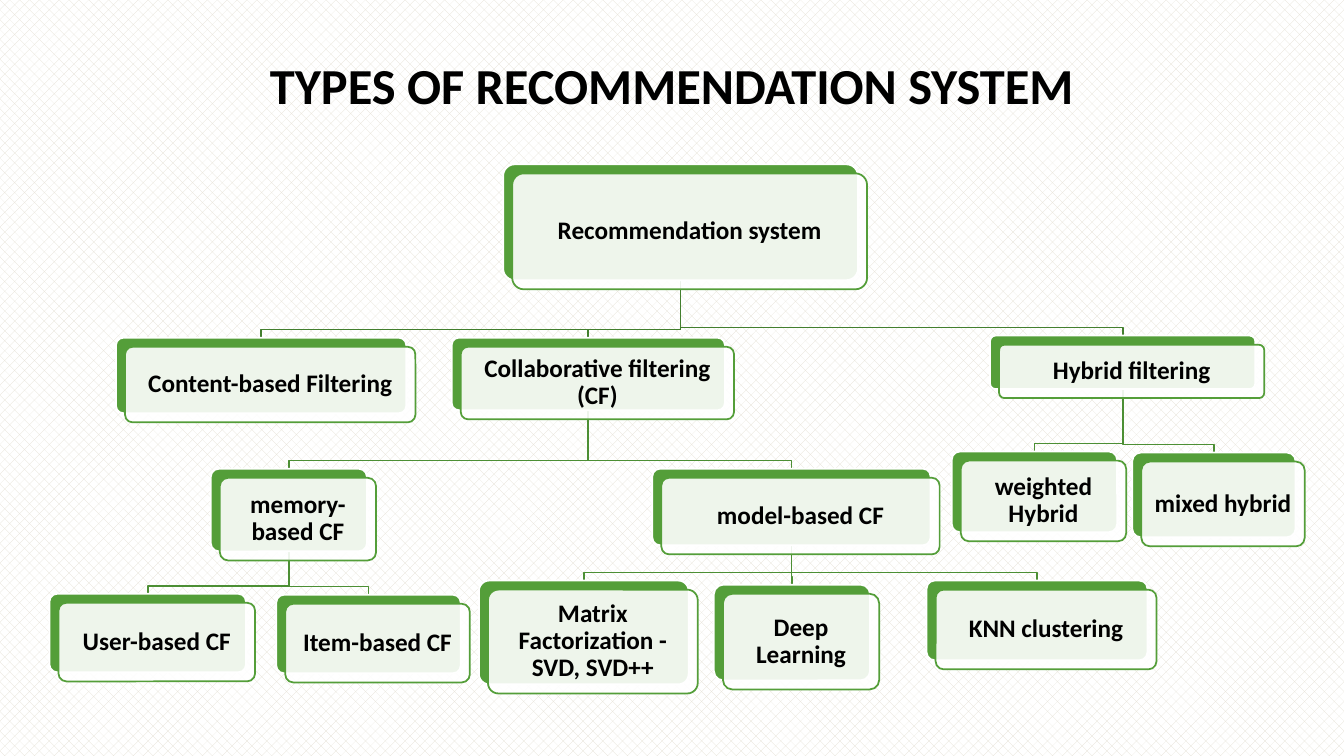
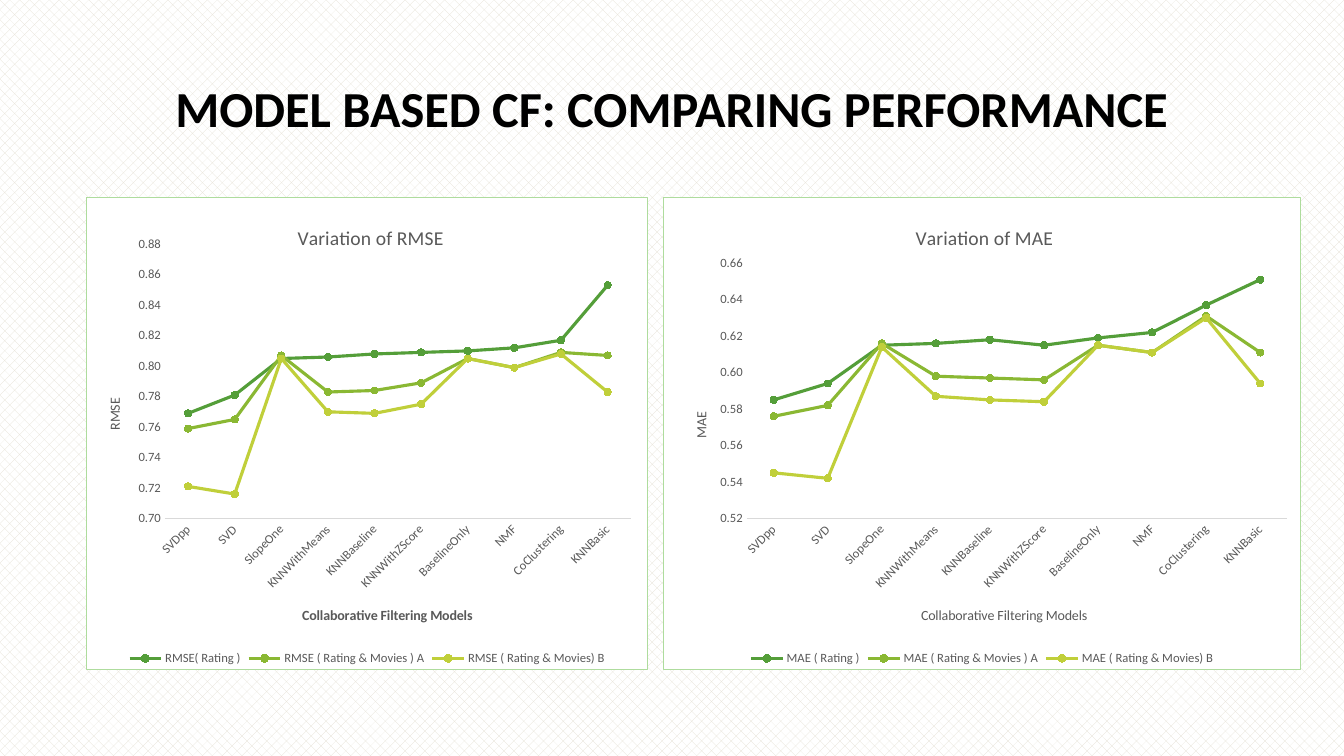
from lxml import etree
from pptx import Presentation
from pptx import util as u
from pptx.chart.data import CategoryChartData
from pptx.dml.color import RGBColor
from pptx.enum import chart as ch, dml, shapes, text
from pptx.oxml import parse_xml
from pptx.oxml.ns import nsdecls, qn

FONT = "Calibri"
BLACK, WHITE, GREY, PALE_GREY = "000000", "FFFFFF", "595959", "D9D9D9"
GREEN, LEAF, LIME, FRAME = "549E39", "8AB833", "C0CF3A", "AEDC9D"
TRUNK, BRANCH = "437F2E", "4C8F34"
CARD_SHIFT = 0.09
ELBOW_DROP = 0.08

TITLE_FONT = {"name": FONT, "size": u.Pt(36), "bold": True}
CARD_FONT = {"name": FONT, "size": u.Pt(18), "bold": True}
PARAGRAPH = {"alignment": text.PP_ALIGN.CENTER, "line_spacing": 0.9}
FRAME_FORMAT = {"word_wrap": True, "vertical_anchor": text.MSO_ANCHOR.MIDDLE}
CARD_FRAME = {**FRAME_FORMAT, **{f"margin_{side}": u.Inches(0.07)
                                for side in ("left", "top", "right", "bottom")}}

NODES = {
    "root": ("Recommendation system", None, 4.99, 1.63, 3.52, 1.15),
    "content": ("Content-based Filtering", "root", 1.15, 3.35, 2.88, 0.75),
    "cf": ("Collaborative filtering (CF)", "root", 4.48, 3.35, 2.71, 0.72),
    "memory": ("memory-based CF", "cf", 2.09, 4.65, 1.55, 0.82),
    "user": ("User-based CF", "memory", 0.49, 5.89, 1.95, 0.78),
    "item": ("Item-based CF", "memory", 2.74, 5.9, 1.83, 0.78),
    "model": ("model-based CF", "cf", 6.47, 4.65, 2.76, 0.76),
    "matrix": ("Matrix Factorization - SVD, SVD++", "model", 4.75, 5.76, 2.08, 1.03),
    "deep": ("Deep Learning", "model", 7.08, 5.8, 1.55, 0.95),
    "knn": ("KNN clustering", "model", 9.19, 5.76, 2.19, 0.79),
    "hybrid": ("Hybrid filtering", "root", 9.82, 3.33, 2.63, 0.53),
    "weighted": ("weighted Hybrid", "hybrid", 9.44, 4.48, 1.64, 0.8),
    "mixed": ("mixed hybrid", "hybrid", 11.23, 4.49, 1.62, 0.84),
}

MODELS = ["SVDpp", "SVD", "SlopeOne", "KNNWithMeans", "KNNBaseline", "KNNWithZScore",
          "BaselineOnly", "NMF", "CoClustering", "KNNBasic"]
RMSE = {
    "measure": "RMSE", "at": (0.85, 1.95, 5.58, 4.7), "scale": (0.7, 0.88),
    "bold_models": True, "plot": (0.14, 0.1, 0.83, 0.58),
    "heading_at": (0.37, 0.05), "models_at": (0.38, 0.86), "measure_at": (0.03, 0.42),
    "series": {
        "RMSE( Rating )":
            (0.769, 0.781, 0.805, 0.806, 0.808, 0.809, 0.81, 0.812, 0.817, 0.853),
        "RMSE ( Rating & Movies ) A":
            (0.759, 0.765, 0.807, 0.783, 0.784, 0.789, 0.805, 0.799, 0.809, 0.807),
        "RMSE ( Rating & Movies) B":
            (0.721, 0.716, 0.805, 0.77, 0.769, 0.775, 0.805, 0.799, 0.808, 0.783),
    },
}
MAE = {
    "measure": "MAE", "at": (6.58, 1.95, 6.32, 4.7), "scale": (0.52, 0.66),
    "bold_models": False, "plot": (0.13, 0.14, 0.85, 0.54),
    "heading_at": (0.39, 0.05), "models_at": (0.4, 0.86), "measure_at": (0.04, 0.45),
    "series": {
        "MAE ( Rating )":
            (0.585, 0.594, 0.615, 0.616, 0.618, 0.615, 0.619, 0.622, 0.637, 0.651),
        "MAE ( Rating & Movies ) A":
            (0.576, 0.582, 0.616, 0.598, 0.597, 0.596, 0.615, 0.611, 0.631, 0.611),
        "MAE ( Rating & Movies) B":
            (0.545, 0.542, 0.614, 0.587, 0.585, 0.584, 0.615, 0.611, 0.63, 0.594),
    },
}


def rgb(code):
    return RGBColor.from_string(code)


def apply(target, values):
    for name, value in values.items():
        setattr(target, name, value)


def inches(*lengths):
    return [u.Inches(length) for length in lengths]


def paint_line(line, color, width):
    line.color.rgb = rgb(color)
    line.width = u.Pt(width)


def paint_background(prs):
    fill = prs.slide_master.background.fill
    fill.patterned()
    fill.pattern = dml.MSO_PATTERN.PERCENT_30
    fill.fore_color.rgb = rgb("E3DED1")
    fill.back_color.rgb = rgb(WHITE)


def write(frame, words, frame_format, font_format):
    apply(frame, frame_format)
    paragraph = frame.paragraphs[0]
    apply(paragraph, PARAGRAPH)
    run = paragraph.add_run()
    run.text = words
    apply(run.font, font_format)
    run.font.color.rgb = rgb(BLACK)


def add_titled_slide(prs, words, top, height):
    slide = prs.slides.add_slide(prs.slide_layouts[6])
    title = slide.shapes.add_textbox(*inches(1.25, top, 10.83, height))
    write(title.text_frame, words, FRAME_FORMAT, TITLE_FONT)
    return slide


def add_branch(slide, parent, child, color):
    _, _, left, top, width, height = parent
    start_x, start_y = left + width / 2, top + height
    _, _, left, end_y, width, _ = child
    end_x, bend_y = left + width / 2, end_y - ELBOW_DROP
    builder = slide.shapes.build_freeform(*inches(start_x, start_y))
    corners = [(start_x, bend_y), (end_x, bend_y), (end_x, end_y)]
    builder.add_line_segments([inches(*corner) for corner in corners], close=False)
    branch = builder.convert_to_shape()
    branch.shadow.inherit = False
    branch.fill.background()
    paint_line(branch.line, color, 1.25)


def add_panel(slide, at, fill, edge):
    panel = slide.shapes.add_shape(shapes.MSO_SHAPE.ROUNDED_RECTANGLE, *inches(*at))
    panel.adjustments[0] = 0.1
    panel.shadow.inherit = False
    panel.fill.solid()
    panel.fill.fore_color.rgb = rgb(fill)
    paint_line(panel.line, edge, 1.25)
    return panel


def add_card(slide, words, left, top, width, height):
    add_panel(slide, (left, top, width, height), GREEN, WHITE)
    front = add_panel(slide, (left + CARD_SHIFT, top + CARD_SHIFT, width, height),
                      WHITE, GREEN)
    tint = front.fill._xPr.find(qn("a:solidFill"))[0]
    etree.SubElement(tint, qn("a:alpha"), val="90000")
    write(front.text_frame, words, CARD_FRAME, CARD_FONT)


def place(element, *position):
    for old in element.findall(qn("c:layout")):
        element.remove(old)
    parts = [f'<c:{side}Mode val="edge"/>' for side in "xy"]
    parts += [f'<c:{side} val="{value}"/>' for side, value in zip("xywh", position)]
    target = '<c:layoutTarget val="inner"/>' if len(position) == 4 else ""
    layout = parse_xml(f'<c:layout {nsdecls("c")}><c:manualLayout>{target}'
                       f'{"".join(parts)}</c:manualLayout></c:layout>')
    words = element.find(qn("c:tx"))
    if words is None:
        element.insert(0, layout)
    else:
        words.addnext(layout)


def set_chart_title(title, words, size, position, bold=False, turn=0):
    title.text_frame.text = words
    font = title.text_frame.paragraphs[0].runs[0].font
    apply(font, {"name": FONT, "size": u.Pt(size), "bold": bold})
    font.color.rgb = rgb(GREY)
    body = title.text_frame._txBody.find(qn("a:bodyPr"))
    apply_turn(body, turn)
    place(title._element, *position)


def apply_turn(body, degrees):
    body.set("rot", str(degrees * 60000))
    body.set("vert", "horz")


def style_small(font):
    apply(font, {"name": FONT, "size": u.Pt(9)})
    font.color.rgb = rgb(GREY)


def style_axes(chart, spec):
    models, measure = chart.category_axis, chart.value_axis
    for axis in (models, measure):
        apply(axis, {"has_major_gridlines": False,
                     "major_tick_mark": ch.XL_TICK_MARK.NONE,
                     "minor_tick_mark": ch.XL_TICK_MARK.NONE})
        style_small(axis.tick_labels.font)
    apply_turn(models._element.find(qn("c:txPr")).find(qn("a:bodyPr")), -45)
    paint_line(models.format.line, PALE_GREY, 0.75)
    measure.format.line.fill.background()
    low, high = spec["scale"]
    apply(measure, {"minimum_scale": low, "maximum_scale": high, "major_unit": 0.02})
    apply(measure.tick_labels, {"number_format": "0.00",
                                "number_format_is_linked": False})
    set_chart_title(models.axis_title, "Collaborative Filtering Models", 10,
                    spec["models_at"], bold=spec["bold_models"])
    set_chart_title(measure.axis_title, spec["measure"], 10, spec["measure_at"], turn=-90)


def style_series(chart):
    for series, color in zip(chart.plots[0].series, (GREEN, LEAF, LIME)):
        series.smooth = False
        paint_line(series.format.line, color, 2.25)
        apply(series.marker, {"style": ch.XL_MARKER_STYLE.CIRCLE, "size": 5})
        series.marker.format.fill.solid()
        series.marker.format.fill.fore_color.rgb = rgb(color)
        paint_line(series.marker.format.line, color, 0.75)


def frame_chart(chart):
    frame = parse_xml(
        f'<c:spPr {nsdecls("c", "a")}>'
        f'<a:solidFill><a:srgbClr val="{WHITE}"/></a:solidFill>'
        f'<a:ln w="{u.Pt(0.75)}"><a:solidFill><a:srgbClr val="{FRAME}"/></a:solidFill></a:ln>'
        '</c:spPr>')
    chart._chartSpace.find(qn("c:chart")).addnext(frame)


def add_line_chart(slide, spec):
    data = CategoryChartData(number_format="0.000")
    data.categories = MODELS
    for name, values in spec["series"].items():
        data.add_series(name, values)
    chart = slide.shapes.add_chart(ch.XL_CHART_TYPE.LINE_MARKERS,
                                   *inches(*spec["at"]), data).chart
    apply(chart.font, {"name": FONT, "size": u.Pt(10)})
    apply(chart, {"has_title": True, "has_legend": True})
    apply(chart.legend, {"position": ch.XL_LEGEND_POSITION.BOTTOM,
                         "include_in_layout": False})
    style_small(chart.legend.font)
    chart.plots[0].vary_by_categories = False
    set_chart_title(chart.chart_title, f"Variation of {spec['measure']}", 14,
                    spec["heading_at"])
    style_axes(chart, spec)
    style_series(chart)
    place(chart._chartSpace.find(qn("c:chart")).find(qn("c:plotArea")), *spec["plot"])
    frame_chart(chart)


def add_types_slide(prs):
    slide = add_titled_slide(prs, "TYPES OF RECOMMENDATION SYSTEM", 0.45, 0.85)
    for node in NODES.values():
        parent = node[1]
        if parent:
            add_branch(slide, NODES[parent], node, TRUNK if parent == "root" else BRANCH)
    for words, _, *at in NODES.values():
        add_card(slide, words, *at)


def add_performance_slide(prs):
    slide = add_titled_slide(prs, "MODEL BASED CF: COMPARING PERFORMANCE", 0.29, 1.63)
    for spec in (RMSE, MAE):
        add_line_chart(slide, spec)


def main():
    prs = Presentation()
    prs.slide_width, prs.slide_height = inches(13.33, 7.5)
    paint_background(prs)
    add_types_slide(prs)
    add_performance_slide(prs)
    prs.save("out.pptx")


if __name__ == "__main__":
    main()
